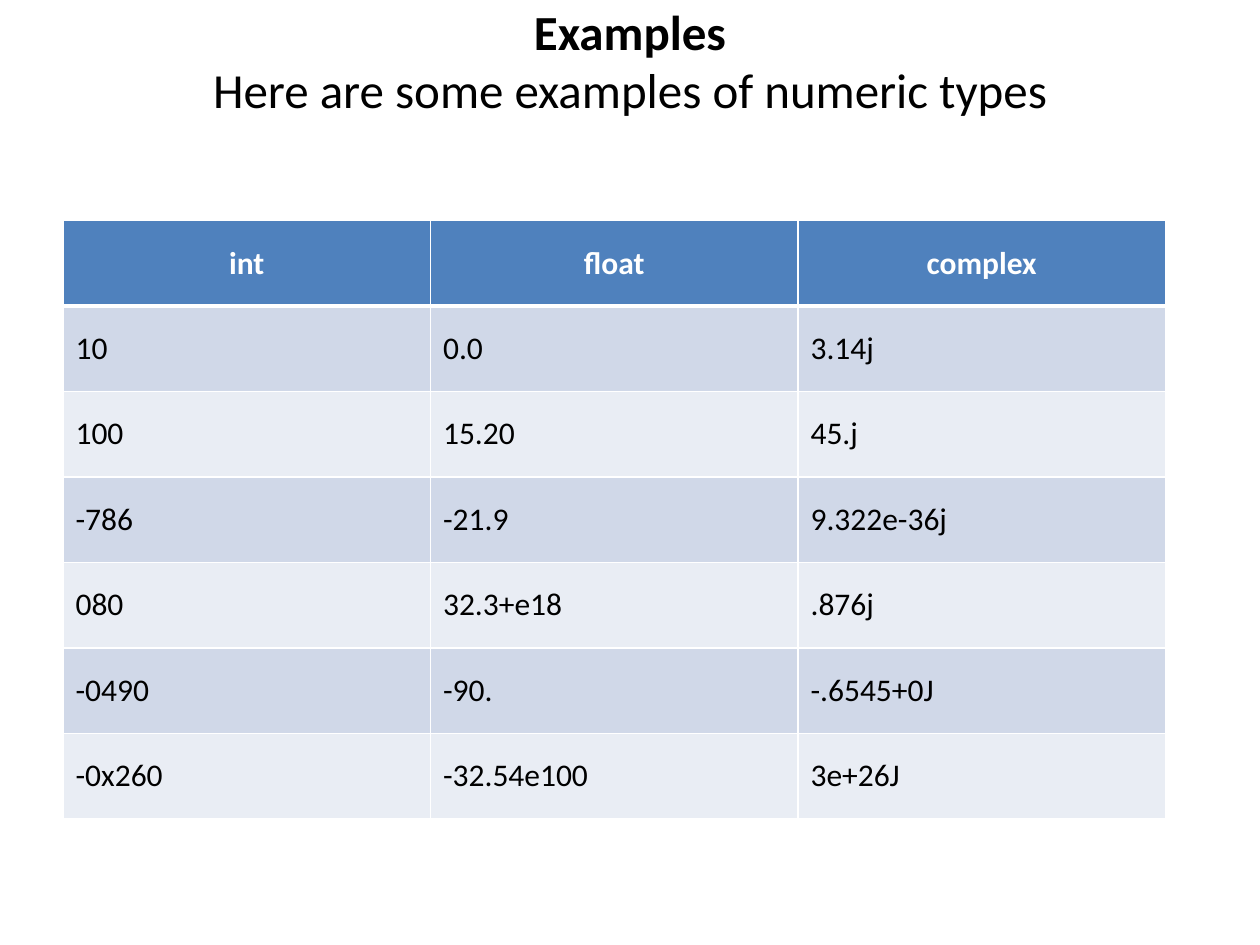
from lxml.etree import SubElement
from pptx import Presentation
from pptx.dml.color import RGBColor
from pptx.enum.text import MSO_ANCHOR as Anchor, PP_ALIGN as Align
from pptx.oxml.ns import qn
from pptx.util import Inches, Pt

# Content
TITLE = "Examples"
SUBTITLE = "Here are some examples of numeric types"
ROWS = [
    ("int", "float", "complex"),
    ("10", "0.0", "3.14j"),
    ("100", "15.20", "45.j"),
    ("-786", "-21.9", "9.322e-36j"),
    ("080", "32.3+e18", ".876j"),
    ("-0490", "-90.", "-.6545+0J"),
    ("-0x260", "-32.54e100", "3e+26J"),
]

# Style
FONT = "Calibri"
BLACK = RGBColor(0x00, 0x00, 0x00)
WHITE = RGBColor(0xFF, 0xFF, 0xFF)
HEADER = RGBColor(0x4F, 0x81, 0xBD)
BANDS = (RGBColor(0xE9, 0xED, 0xF4), RGBColor(0xD0, 0xD8, 0xE8))

# Layout
SLIDE_W, SLIDE_H = Inches(10), Inches(7.5)
MARGIN = Inches(0.5)
TABLE_TOP, TABLE_W, TABLE_H = Inches(1.75), Inches(8.75), Inches(4.75)


def style_span(span, size, color, bold):
    font = span.font
    font.name, font.size, font.bold = FONT, Pt(size), bold
    font.color.rgb = color


def add_border(cell, side, width):
    line = SubElement(cell._tc.get_or_add_tcPr(), qn(f"a:ln{side}"), w=str(Pt(width)))
    fill = SubElement(line, qn("a:solidFill"))
    SubElement(fill, qn("a:srgbClr"), val=str(WHITE))


def add_title(page):
    box = page.shapes.add_textbox(MARGIN, Inches(0.3), SLIDE_W - 2 * MARGIN, Inches(1.25))
    frame = box.text_frame
    frame.word_wrap = True
    frame.vertical_anchor = Anchor.MIDDLE
    frame.margin_bottom = Inches(0.95)  # lifts the two lines to the top of the slide
    para = frame.paragraphs[0]
    para.text = f"{TITLE}\v{SUBTITLE}"
    para.alignment = Align.CENTER
    for span, bold in zip(para.runs, (True, False)):
        style_span(span, 28, BLACK, bold)


def fill_cell(cell, text, row):
    is_header = row == 0
    # Borders come before the fill in the cell properties
    for side, width in (("L", 1), ("R", 1), ("T", 3 if row == 1 else 1),
                        ("B", 3 if is_header else 1)):
        add_border(cell, side, width)
    cell.fill.solid()
    cell.fill.fore_color.rgb = HEADER if is_header else BANDS[row % 2]
    cell.vertical_anchor = Anchor.MIDDLE
    cell.text_frame.text = text
    para = cell.text_frame.paragraphs[0]
    para.alignment = Align.CENTER if is_header else Align.LEFT
    style_span(para.runs[0], 18, WHITE if is_header else BLACK, is_header)


def add_type_table(page):
    table = page.shapes.add_table(len(ROWS), len(ROWS[0]), MARGIN, TABLE_TOP,
                                  TABLE_W, TABLE_H).table
    for row, texts in enumerate(ROWS):
        for col, text in enumerate(texts):
            fill_cell(table.cell(row, col), text, row)


def main():
    deck = Presentation()
    deck.slide_width, deck.slide_height = SLIDE_W, SLIDE_H
    page = deck.slides.add_slide(deck.slide_layouts[6])
    add_title(page)
    add_type_table(page)
    deck.save("out.pptx")


if __name__ == "__main__":
    main()
